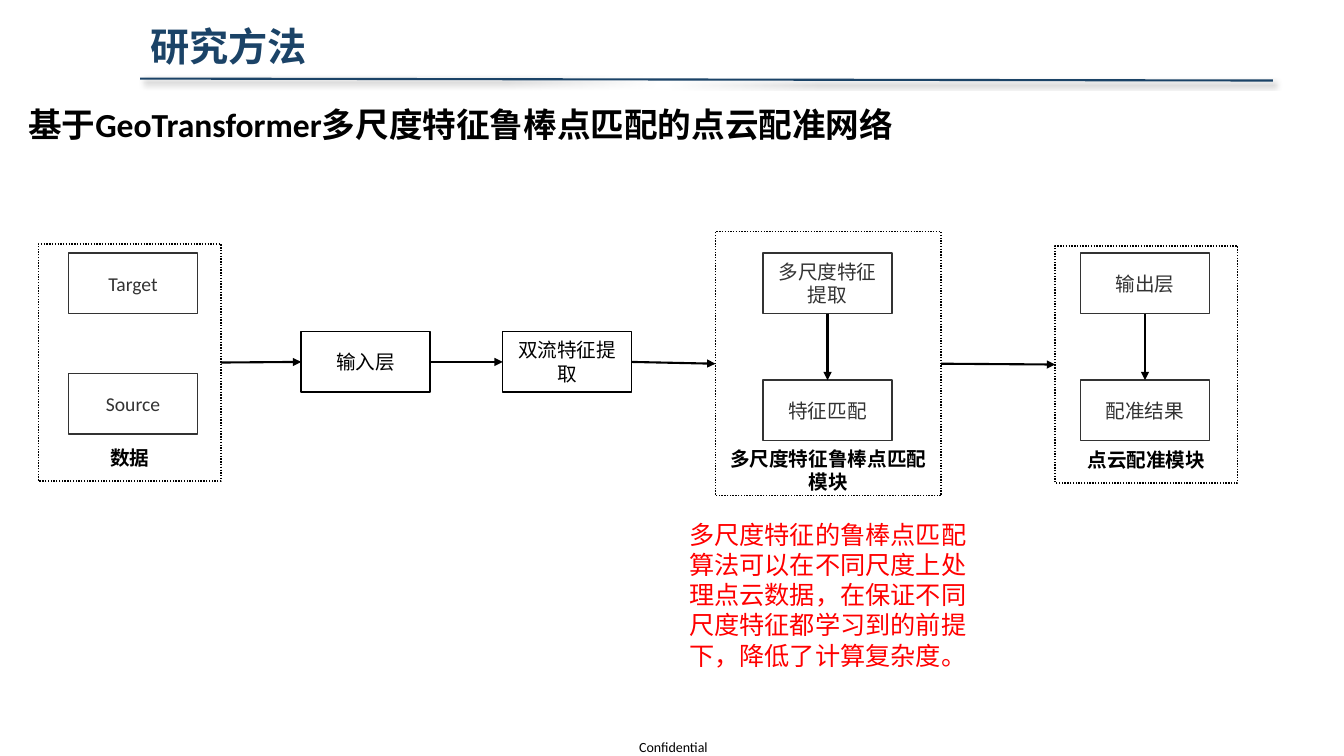
from lxml import etree
from pptx import Presentation
from pptx.dml.color import RGBColor
from pptx.enum import dml, shapes, text
from pptx.oxml import ns
from pptx.util import Cm, Pt

NAVY = RGBColor(0x1B, 0x43, 0x67)
BLACK = RGBColor(0, 0, 0)
WHITE = RGBColor(255, 255, 255)
RED = RGBColor(255, 0, 0)
LEFT, CENTER = text.PP_ALIGN.LEFT, text.PP_ALIGN.CENTER
TOP, MIDDLE, BOTTOM = text.MSO_ANCHOR.TOP, text.MSO_ANCHOR.MIDDLE, text.MSO_ANCHOR.BOTTOM


def write(shape, words, size, color, bold, align, anchor):
    frame = shape.text_frame
    frame.text = words
    frame.word_wrap = True
    frame.auto_size = text.MSO_AUTO_SIZE.NONE
    frame.vertical_anchor = anchor
    frame.paragraphs[0].alignment = align
    font = frame.paragraphs[0].runs[0].font
    font.name, font.size, font.bold = "Calibri", Pt(size), bold
    font.color.rgb = color


def add_line(x1, y1, x2, y2, color):
    line = slide.shapes.add_connector(
        shapes.MSO_CONNECTOR.STRAIGHT, Cm(x1), Cm(y1), Cm(x2), Cm(y2))
    line.line.color.rgb = color
    line.line.width = Pt(1.5)
    effects = etree.SubElement(line._element.spPr, ns.qn("a:effectLst"))
    return line, effects


deck = Presentation()
deck.slide_width, deck.slide_height = Cm(33.87), Cm(19.05)
slide = deck.slides.add_slide(deck.slide_layouts[5])

heading = slide.shapes.title
heading.left, heading.top, heading.width, heading.height = Cm(3.53), Cm(0.43), Cm(27.23), Cm(1.45)
write(heading, "研究方法", 28, NAVY, True, LEFT, MIDDLE)

rule, rule_effects = add_line(3.53, 1.98, 32.08, 2.03, NAVY)
shadow = etree.SubElement(rule_effects, ns.qn("a:outerShdw"),
                          blurRad=str(Pt(4)), dist=str(Pt(3)), dir="2700000")
shadow_color = etree.SubElement(shadow, ns.qn("a:srgbClr"), val="000000")
etree.SubElement(shadow_color, ns.qn("a:alpha"), val="40000")

passages = [
    ("基于GeoTransformer多尺度特征鲁棒点匹配的点云配准网络",
     0.46, 2.49, 25.73, 1.27, 24, BLACK, True, LEFT),
    ("多尺度特征的鲁棒点匹配算法可以在不同尺度上处理点云数据，"
     "在保证不同尺度特征都学习到的前提下，降低了计算复杂度。",
     16.87, 12.95, 7.98, 4.11, 18, RED, False, CENTER),
    ("Confidential", 15.5, 18.62, 2.94, 0.43, 10, BLACK, False, CENTER),
]
for words, x, y, width, height, size, color, bold, align in passages:
    passage = slide.shapes.add_textbox(Cm(x), Cm(y), Cm(width), Cm(height))
    write(passage, words, size, color, bold, align, TOP)
passage.text_frame.margin_top = passage.text_frame.margin_bottom = 0

STEP_W, STEP_H = 3.25, 1.52
steps = [
    ("输入层", 7.59, 8.36),
    ("双流特征提取", 12.67, 8.36),
    ("多尺度特征提取", 19.23, 6.38),
    ("特征匹配", 19.23, 9.58),
    ("输出层", 27.23, 6.38),
    ("Target", 1.73, 6.38),
    ("Source", 1.73, 9.42),
    ("配准结果", 27.23, 9.58),
]
modules = [
    ("数据", 0.97, 6.15, 4.6, 5.97, 0.3),
    ("多尺度特征鲁棒点匹配模块", 18.03, 5.84, 5.69, 6.65, 0.05),
    ("点云配准模块", 26.59, 6.2, 4.6, 5.97, 0.3),
]
blocks = {}
for label, x, y, width, height, gap in [(*step, STEP_W, STEP_H, None) for step in steps] + modules:
    block = slide.shapes.add_shape(
        shapes.MSO_SHAPE.RECTANGLE, Cm(x), Cm(y), Cm(width), Cm(height))
    block.shadow.inherit = False
    block.fill.solid()
    block.fill.fore_color.rgb = WHITE
    block.line.color.rgb = BLACK
    block.line.width = Pt(1)
    is_module = gap is not None
    write(block, label, 14, BLACK, is_module, CENTER, BOTTOM if is_module else MIDDLE)
    if is_module:
        block.text_frame.margin_bottom = Cm(gap)
        block.line.dash_style = dml.MSO_LINE.ROUND_DOT
        white = block._element.spPr.find(ns.qn("a:solidFill"))[0]
        etree.SubElement(white, ns.qn("a:alpha"), val="20000")
    blocks[label] = block

flows = [
    ("数据", 3, "输入层", 1),
    ("输入层", 3, "双流特征提取", 1),
    ("双流特征提取", 3, "多尺度特征鲁棒点匹配模块", 1),
    ("多尺度特征提取", 2, "特征匹配", 0),
    ("多尺度特征鲁棒点匹配模块", 3, "点云配准模块", 1),
    ("输出层", 2, "配准结果", 0),
]
for start, start_side, end, end_side in flows:
    flow, _ = add_line(0, 0, 1, 1, BLACK)
    flow.begin_connect(blocks[start], start_side)
    flow.end_connect(blocks[end], end_side)
    etree.SubElement(flow.line._get_or_add_ln(), ns.qn("a:tailEnd"), type="triangle")

deck.save("out.pptx")
